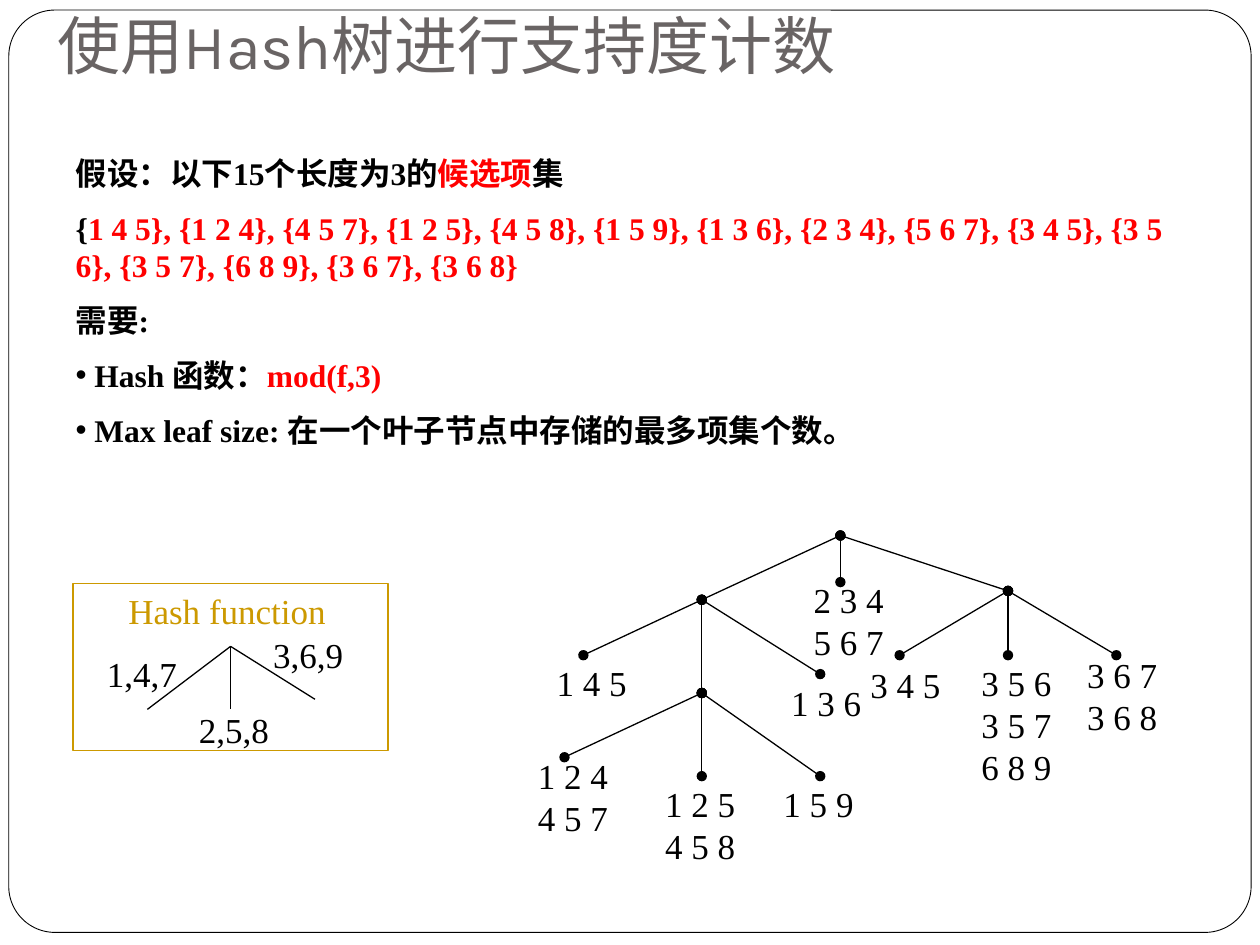
import pptx
import pptx.dml.color
import pptx.enum.shapes
import pptx.enum.text
import pptx.oxml.ns
import pptx.oxml.xmlchemy
import pptx.util
from dataclasses import dataclass


@dataclass(frozen=True)
class Theme:
    ink: str = "000000"
    accent: str = "FF0000"
    gold: str = "CC9900"
    title_grey: str = "696464"
    paper: str = "FFFFFF"
    heading_font: str = "Karla"
    text_font: str = "Times New Roman"
    title_size: int = 36
    body_size: int = 18
    label_size: int = 20
    thin: float = 0.5
    stroke: float = 0.75


theme = Theme()
rgb = pptx.dml.color.RGBColor.from_string
new_element = pptx.oxml.xmlchemy.OxmlElement
auto_size = pptx.enum.text.MSO_AUTO_SIZE
anchor = pptx.enum.text.MSO_ANCHOR
shape_kind = pptx.enum.shapes.MSO_SHAPE

presentation = pptx.Presentation()
presentation.slide_width = pptx.util.Inches(10)
presentation.slide_height = pptx.util.Inches(7.5)
# The grid has 100 columns and 75 rows, so its cells are square.
cell = presentation.slide_width / 100
slide = presentation.slides.add_slide(presentation.slide_layouts[1])
shapes = slide.shapes


def add_line(start, end, dotted=False):
    """Draw a thin line between two grid points, with round ends if dotted."""
    line = shapes.add_connector(
        pptx.enum.shapes.MSO_CONNECTOR.STRAIGHT,
        *[round(value * cell) for value in (*start, *end)])
    line.line.color.rgb = rgb(theme.ink)
    line.line.width = pptx.util.Pt(theme.stroke)
    properties = line._element.spPr
    if dotted:
        outline = properties.find(pptx.oxml.ns.qn("a:ln"))
        for tag in ("a:headEnd", "a:tailEnd"):
            end_mark = new_element(tag)
            end_mark.set("type", "oval")
            outline.append(end_mark)
    properties.append(new_element("a:effectLst"))


def add_label(text, left, top, width=7.6, color=theme.ink):
    height = 0.9 + 3.35 * len(text.split("\n"))
    box = shapes.add_textbox(
        *[round(value * cell) for value in (left, top, width, height)])
    frame = box.text_frame
    frame.text = text
    frame.word_wrap = False
    frame.auto_size = auto_size.SHAPE_TO_FIT_TEXT
    for paragraph in frame.paragraphs:
        font = paragraph.runs[0].font
        font.name = theme.text_font
        font.size = pptx.util.Pt(theme.label_size)
        font.color.rgb = rgb(color)


# Slide frame, behind everything else
border = shapes.add_shape(
    shape_kind.ROUNDED_RECTANGLE,
    *[round(value * cell) for value in (0.7, 0.8, 98.6, 73.2)])
border.adjustments[0] = 0.05
border.shadow.inherit = False
border.fill.solid()
border.fill.fore_color.rgb = rgb(theme.paper)
border.line.color.rgb = rgb(theme.ink)
border.line.width = pptx.util.Pt(theme.thin)
shapes._spTree.remove(border._element)
shapes._spTree.insert(2, border._element)

# Title
title = shapes.title
title.left, title.top, title.width, title.height = [
    round(value * cell) for value in (3.6, 1.7, 90.6, 5.8)]
frame = title.text_frame
frame.text = "使用Hash树进行支持度计数"
frame.auto_size = auto_size.NONE
frame.vertical_anchor = anchor.BOTTOM
frame.margin_bottom = round(cell)
paragraph = frame.paragraphs[0]
paragraph.alignment = pptx.enum.text.PP_ALIGN.LEFT
font = paragraph.runs[0].font
font.name = theme.heading_font
font.size = pptx.util.Pt(theme.title_size)
font.color.rgb = rgb(theme.title_grey)

# Body: each paragraph is (bulleted, [(text, colour), ...])
candidates = ("1 4 5}, {1 2 4}, {4 5 7}, {1 2 5}, {4 5 8}, {1 5 9}, {1 3 6}, "
              "{2 3 4}, {5 6 7}, {3 4 5}, {3 5 6}, {3 5 7}, {6 8 9}, "
              "{3 6 7}, {3 6 8}")
body_paragraphs = [
    (False, [("假设：以下15个长度为3的", theme.ink), ("候选项", theme.accent),
             ("集", theme.ink)]),
    (False, [("{", theme.ink), (candidates, theme.accent)]),
    (False, [("需要:", theme.ink)]),
    (True, [(" Hash 函数：", theme.ink), ("mod(f,3)", theme.accent)]),
    (True, [(" Max leaf size: 在一个叶子节点中存储的最多项集个数。", theme.ink)]),
]
body = slide.placeholders[1]
body.left, body.top, body.width, body.height = [
    round(value * cell) for value in (5, 11.7, 90.8, 25.2)]
frame = body.text_frame
frame.auto_size = auto_size.NONE
frame.vertical_anchor = anchor.TOP
for index, (bulleted, pieces) in enumerate(body_paragraphs):
    paragraph = frame.add_paragraph() if index else frame.paragraphs[0]
    paragraph.space_before = pptx.util.Pt(theme.body_size * 0.54)
    properties = paragraph._p.get_or_add_pPr()
    properties.set("marL", "0")
    properties.set("indent", "0")
    bullet = new_element("a:buChar" if bulleted else "a:buNone")
    if bulleted:
        bullet.set("char", "•")
    properties.append(bullet)
    for text, color in pieces:
        run = paragraph.add_run()
        run.text = text
        run.font.name = theme.text_font
        run.font.size = pptx.util.Pt(theme.body_size)
        run.font.bold = True
        run.font.color.rgb = rgb(color)

# Hash tree: each inner node with its children
root, left_node, right_node, deep_node = (
    (66.7, 42.5), (55.7, 47.6), (80, 46.9), (55.7, 55))
branches = {
    root: [left_node, right_node, (66.7, 46.2)],
    left_node: [(46.3, 52), deep_node, (65.1, 53.5)],
    deep_node: [(44.8, 60.1), (55.7, 61.6), (65.1, 61.6)],
    right_node: [(71.4, 52), (80, 52), (88.6, 52)],
}
for parent, children in branches.items():
    for child in children:
        add_line(parent, child, dotted=True)

leaves = [
    ("2 3 4\n5 6 7", 63.6, 45.4),
    ("1 4 5", 43.2, 52),
    ("1 3 6", 61.8, 53.6),
    ("1 2 4\n4 5 7", 41.7, 59.4),
    ("1 2 5\n4 5 8", 51.8, 61.6),
    ("1 5 9", 61.2, 61.6),
    ("3 4 5", 68.1, 52.2),
    ("3 5 6\n3 5 7\n6 8 9", 76.9, 52),
    ("3 6 7\n3 6 8", 85.3, 51.4),
]
for text, left, top in leaves:
    add_label(text, left, top)

# Hash function legend
for end in [(11.7, 56.3), (18.3, 56.3), (25, 55.5)]:
    add_line((18.3, 51.3), end)
for text, left, top in [("1,4,7", 7.5, 51.3), ("2,5,8", 14.8, 55.7),
                        ("3,6,9", 20.7, 49.8)]:
    add_label(text, left, top)
add_label("Hash function", 9.2, 46.3, 17.7, theme.gold)
legend_box = shapes.add_shape(
    shape_kind.RECTANGLE,
    *[round(value * cell) for value in (5.8, 46.3, 25, 13.3)])
legend_box.shadow.inherit = False
legend_box.fill.background()
legend_box.line.color.rgb = rgb(theme.gold)
legend_box.line.width = pptx.util.Pt(theme.stroke)

presentation.save("out.pptx")
